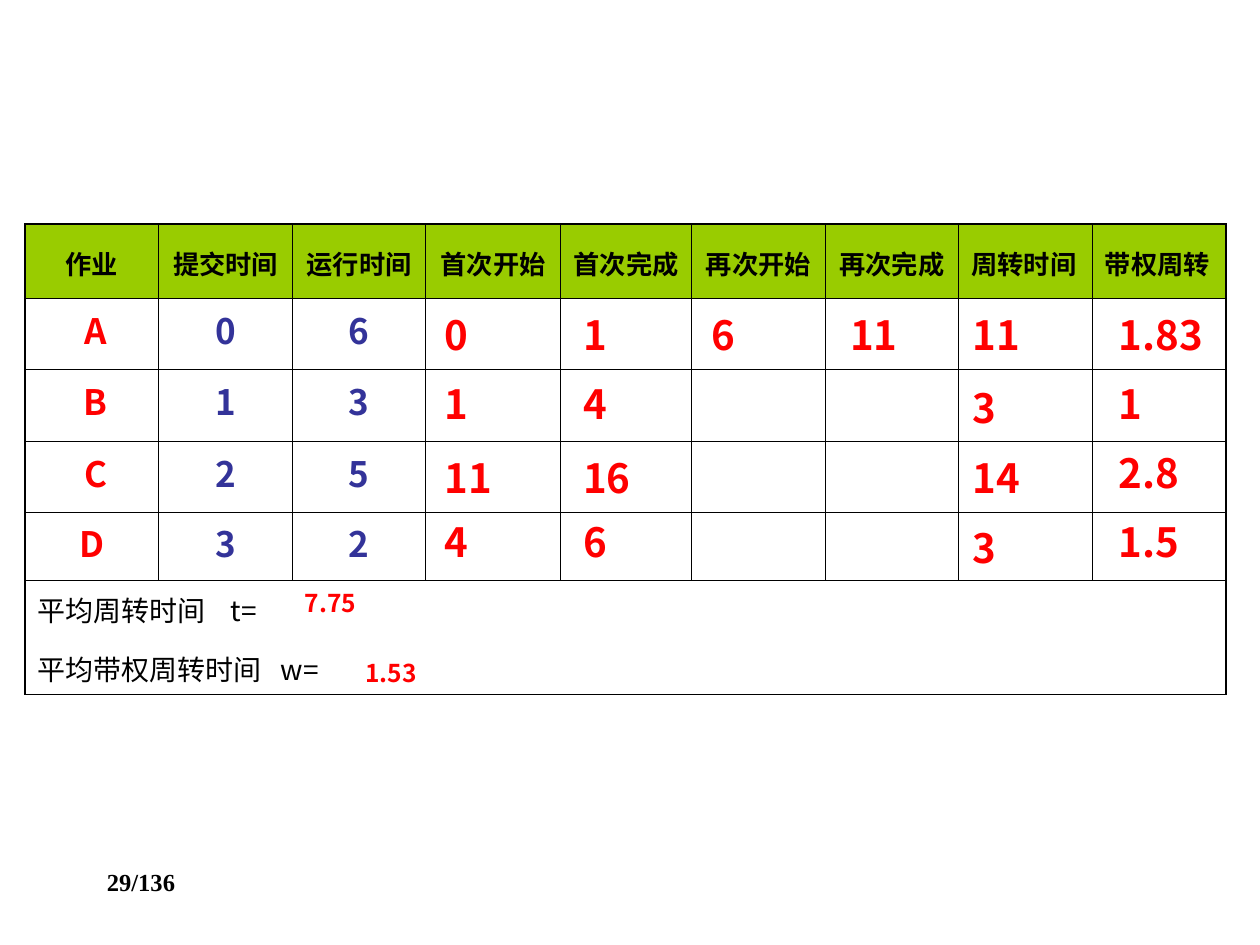
from pptx import Presentation
from pptx.dml.color import RGBColor
from pptx.enum.text import MSO_ANCHOR, MSO_AUTO_SIZE, PP_ALIGN
from pptx.oxml.ns import qn
from pptx.util import Inches, Pt
from lxml.etree import SubElement

BLACK = RGBColor(0x00, 0x00, 0x00)
RED = RGBColor(0xFF, 0x00, 0x00)
BLUE = RGBColor(0x33, 0x33, 0x99)
GREEN = RGBColor(0x99, 0xCC, 0x00)

SANS = "Noto Sans CJK SC"
SERIF = "Times New Roman"
THIN, THICK = 0.45, 1.08

COL_WIDTHS = [1.06, 1.06, 1.06, 1.07, 1.04, 1.06, 1.06, 1.06, 1.06]
ROW_HEIGHTS = [0.59, 0.56, 0.57, 0.57, 0.54, 0.47, 0.43]
HEADERS = ["作业", "提交时间", "运行时间", "首次开始", "首次完成",
           "再次开始", "再次完成", "周转时间", "带权周转"]
JOBS = [(" A", "0", "6"), (" B", "1", "3"), (" C", "2", "5"), ("D", "3", "2")]
AVERAGES = [("平均周转时间\tt=", 1.53), ("平均带权周转时间\tw=", 1.93)]

ANSWERS = [
    (3.43, [(2.41, "0"), (2.96, "1"), (3.55, "11"), (4.06, "4")]),
    (4.53, [(2.41, "1"), (2.96, "4"), (3.55, "16"), (4.06, "6")]),
    (5.55, [(2.41, "6")]),
    (6.65, [(2.41, "11")]),
    (7.62, [(2.41, "11"), (2.99, "3"), (3.55, "14"), (4.10, "3")]),
    (8.78, [(2.41, "1.83"), (2.96, "1"), (3.51, "2.8"), (4.06, "1.5")]),
]
AVERAGE_ANSWERS = [(2.32, 4.62, "7.75"), (2.80, 5.17, "1.53")]


class SlideBuilder:
    """Hold the shared text style and the current slide."""

    def __init__(self, slide):
        self.s = slide
        self.style = {"name": SANS, "bold": True}

    def run(self, p, text, color, **fmt):
        r = p.add_run()
        r.text = text
        r.font.color.rgb = color
        values = {**self.style, **fmt}
        for key, value in values.items():
            setattr(r.font, key, value)
        SubElement(r.font._element, qn("a:ea"), typeface=values["name"])

    def text(self, left, top, width, height, text, color, grow=True, **fmt):
        sp = self.s.shapes.add_textbox(
            Inches(left), Inches(top), Inches(width), Inches(height))
        tf = sp.text_frame
        tf.word_wrap = True
        if grow:
            tf.auto_size = MSO_AUTO_SIZE.SHAPE_TO_FIT_TEXT
        self.run(tf.paragraphs[0], text, color, **fmt)

    def table(self, left, top, widths, heights):
        frame = self.s.shapes.add_table(
            len(heights), len(widths), Inches(left), Inches(top),
            Inches(sum(widths)), Inches(sum(heights)))
        table = frame.table
        table.first_row = table.horz_banding = False
        for column, width in zip(table.columns, widths):
            column.width = Inches(width)
        for row, height in zip(table.rows, heights):
            row.height = Inches(height)
        return table

    def border(self, cell, **widths):
        tc_pr = cell._tc.get_or_add_tcPr()
        for side in "LRTB":
            width = widths[side]
            ln = SubElement(tc_pr, qn(f"a:ln{side}"), w=str(Pt(width)))
            if width:
                fill = SubElement(ln, qn("a:solidFill"))
                SubElement(fill, qn("a:srgbClr"), val=str(BLACK))
            else:
                SubElement(ln, qn("a:noFill"))

    def cell(self, cell, text, color, align=PP_ALIGN.CENTER,
             anchor=MSO_ANCHOR.MIDDLE, tab=None, **fmt):
        cell.vertical_anchor = anchor
        p = cell.text_frame.paragraphs[0]
        p.alignment = align
        p.line_spacing = Pt(24)
        if tab:
            tabs = SubElement(p._p.get_or_add_pPr(), qn("a:tabLst"))
            SubElement(tabs, qn("a:tab"), pos=str(Inches(tab)), algn="l")
        self.run(p, text, color, **fmt)


def fill_schedule(builder):
    table = builder.table(0.2, 1.78, COL_WIDTHS, ROW_HEIGHTS)
    last_row, last_col = len(ROW_HEIGHTS) - 1, len(COL_WIDTHS) - 1
    for row in range(last_row + 1):
        for col in range(last_col + 1):
            cell = table.cell(row, col)
            builder.border(
                cell,
                L=THICK if col == 0 else THIN,
                R=THICK if col == last_col or row > len(JOBS) else THIN,
                T=THICK if row == 0 else 0 if row == last_row else THIN,
                B=THICK if row == last_row else 0 if row == last_row - 1 else THIN)
            if row == 0:
                cell.fill.solid()
                cell.fill.fore_color.rgb = GREEN
            else:
                cell.fill.background()

    for col, header in enumerate(HEADERS):
        align = PP_ALIGN.CENTER if col < 7 else PP_ALIGN.LEFT
        builder.cell(table.cell(0, col), header, BLACK, align, size=Pt(15))
    for row, job in enumerate(JOBS, 1):
        for col, value in enumerate(job):
            builder.cell(table.cell(row, col), value, BLUE if col else RED,
                         size=Pt(20))
    for row, (label, tab) in enumerate(AVERAGES, len(JOBS) + 1):
        table.cell(row, 0).merge(table.cell(row, last_col))
        builder.cell(table.cell(row, 0), label, BLACK, PP_ALIGN.LEFT,
                     MSO_ANCHOR.TOP, tab, size=Pt(16), bold=False)


def main():
    prs = Presentation()
    prs.slide_width, prs.slide_height = Inches(10), Inches(7.5)
    builder = SlideBuilder(prs.slides.add_slide(prs.slide_layouts[6]))

    builder.text(0.75, 6.83, 2.25, 0.5, "29/136", BLACK, grow=False,
                 name=SERIF, size=Pt(14))
    fill_schedule(builder)
    for left, answers in ANSWERS:
        for top, value in answers:
            builder.text(left, top, 0.94, 0.49, value, RED, size=Pt(23))
    for left, top, value in AVERAGE_ANSWERS:
        builder.text(left, top, 0.94, 0.34, value, RED, size=Pt(14))
    prs.save("out.pptx")


if __name__ == "__main__":
    main()
